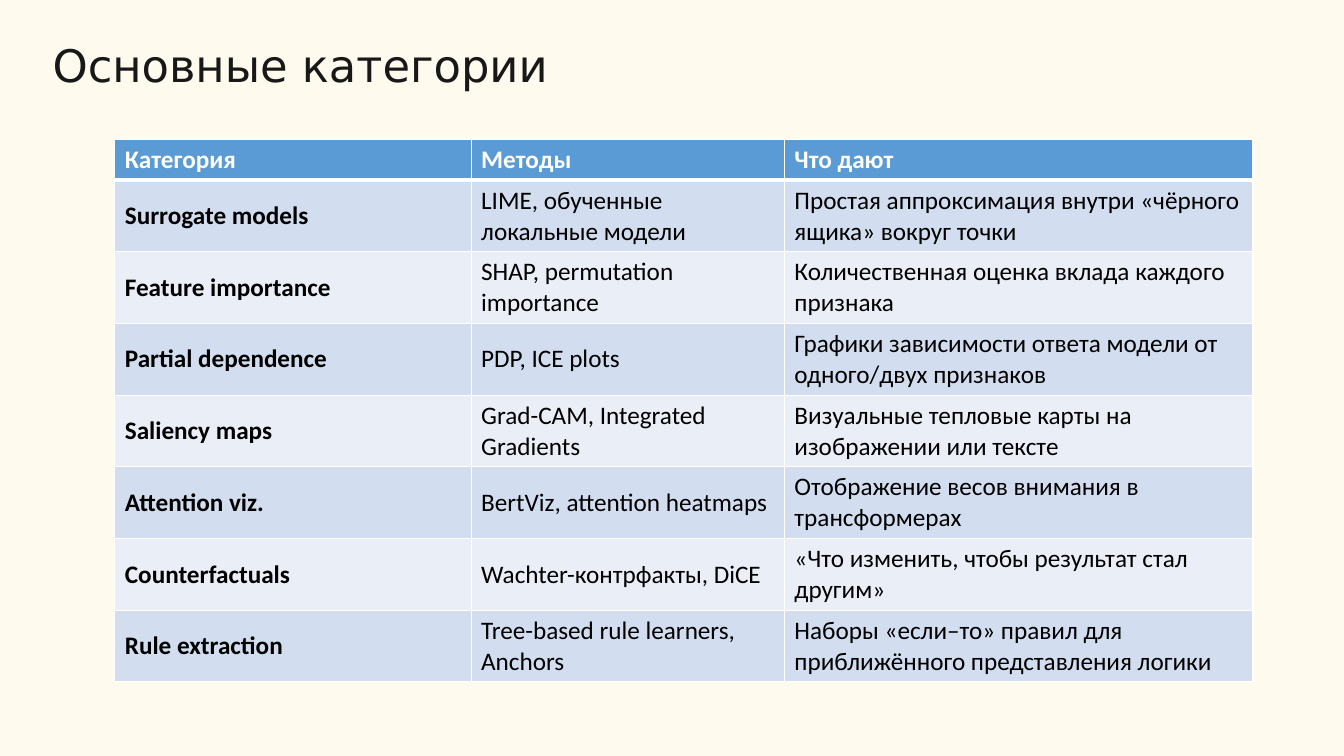
from dataclasses import dataclass

from pptx import Presentation
from pptx.dml.color import RGBColor
from pptx.enum.text import MSO_ANCHOR, MSO_AUTO_SIZE, PP_ALIGN
from pptx.oxml.ns import qn
from pptx.util import Pt
from lxml import etree

LEFT = PP_ALIGN.LEFT
TOP, MIDDLE = MSO_ANCHOR.TOP, MSO_ANCHOR.MIDDLE
NO_AUTOFIT = MSO_AUTO_SIZE.NONE
TITLE_ONLY = 5


@dataclass(frozen=True)
class Theme:
    background: str = "FEFAEE"
    title: str = "181818"
    text: str = "000000"
    header_text: str = "FFFFFF"
    header_fill: str = "5B9BD5"
    bands: tuple = ("D2DEEF", "EAEFF7")
    border: str = "FFFFFF"
    title_font: str = "DejaVu Sans"
    body_font: str = "Calibri"
    title_size: int = 32
    body_size: int = 18
    thin: int = 1
    thick: int = 3


METHODS = [
    ("Категория", "Методы", "Что дают"),
    ("Surrogate models", "LIME, обученные локальные модели",
     "Простая аппроксимация внутри «чёрного ящика» вокруг точки"),
    ("Feature importance", "SHAP, permutation importance",
     "Количественная оценка вклада каждого признака"),
    ("Partial dependence", "PDP, ICE plots",
     "Графики зависимости ответа модели от одного/двух признаков"),
    ("Saliency maps", "Grad-CAM, Integrated Gradients",
     "Визуальные тепловые карты на изображении или тексте"),
    ("Attention viz.", "BertViz, attention heatmaps",
     "Отображение весов внимания в трансформерах"),
    ("Counterfactuals", "Wachter-контрфакты, DiCE",
     "«Что изменить, чтобы результат стал другим»"),
    ("Rule extraction", "Tree-based rule learners, Anchors",
     "Наборы «если–то» правил для приближённого представления логики"),
]


class SlideBuilder:
    def __init__(self, prs, theme):
        self.theme = theme
        self.slide = prs.slides.add_slide(prs.slide_layouts[TITLE_ONLY])
        fill = self.slide.background.fill
        fill.solid()
        fill.fore_color.rgb = RGBColor.from_string(theme.background)

    def style(self, p, font, size, color, bold=False):
        p.alignment = LEFT
        p.font.name = font
        p.font.size = Pt(size)
        p.font.bold = bold
        p.font.color.rgb = RGBColor.from_string(color)

    def title(self, text, left, top, width, height):
        sp = self.slide.shapes.title
        sp.left, sp.top, sp.width, sp.height = map(Pt, (left, top, width, height))
        tf = sp.text_frame
        tf.text = text
        tf.word_wrap = True
        tf.auto_size = NO_AUTOFIT
        tf.vertical_anchor = TOP
        tf.margin_left = tf.margin_top = tf.margin_right = tf.margin_bottom = 0
        p = tf.paragraphs[0]
        p.line_spacing = 0.85
        self.style(p, self.theme.title_font, self.theme.title_size, self.theme.title)

    def borders(self, cell, top, bottom):
        tc_pr = cell._tc.get_or_add_tcPr()
        thin = self.theme.thin
        for side, width in (("L", thin), ("R", thin), ("T", top), ("B", bottom)):
            ln = etree.SubElement(tc_pr, qn(f"a:ln{side}"), w=str(Pt(width)))
            fill = etree.SubElement(ln, qn("a:solidFill"))
            etree.SubElement(fill, qn("a:srgbClr"), val=self.theme.border)

    def cell(self, cell, text, row, col):
        t = self.theme
        header = row == 0
        self.borders(cell, t.thick if row == 1 else t.thin,
                     t.thick if header else t.thin)
        cell.fill.solid()
        cell.fill.fore_color.rgb = RGBColor.from_string(
            t.header_fill if header else t.bands[(row - 1) % 2])
        cell.vertical_anchor = MIDDLE
        cell.text = text
        self.style(cell.text_frame.paragraphs[0], t.body_font, t.body_size,
                   t.header_text if header else t.text, header or col == 0)

    def table(self, rows, left, top, widths, header_height, row_height):
        heights = [header_height] + [row_height] * (len(rows) - 1)
        table = self.slide.shapes.add_table(
            len(rows), len(widths), Pt(left), Pt(top),
            Pt(sum(widths)), Pt(sum(heights))).table
        for column, width in zip(table.columns, widths):
            column.width = Pt(width)
        for i, (values, height) in enumerate(zip(rows, heights)):
            table.rows[i].height = Pt(height)
            for j, text in enumerate(values):
                self.cell(table.cell(i, j), text, i, j)


def main():
    prs = Presentation()
    prs.slide_width, prs.slide_height = Pt(960), Pt(540)
    s = SlideBuilder(prs, Theme())
    s.title("Основные категории", 37.5, 32.5, 636.5, 46)
    s.table(METHODS, 82, 99.5, (254.5, 223.8, 334.7), 29.2, 51.2)
    prs.save("out.pptx")


if __name__ == "__main__":
    main()
